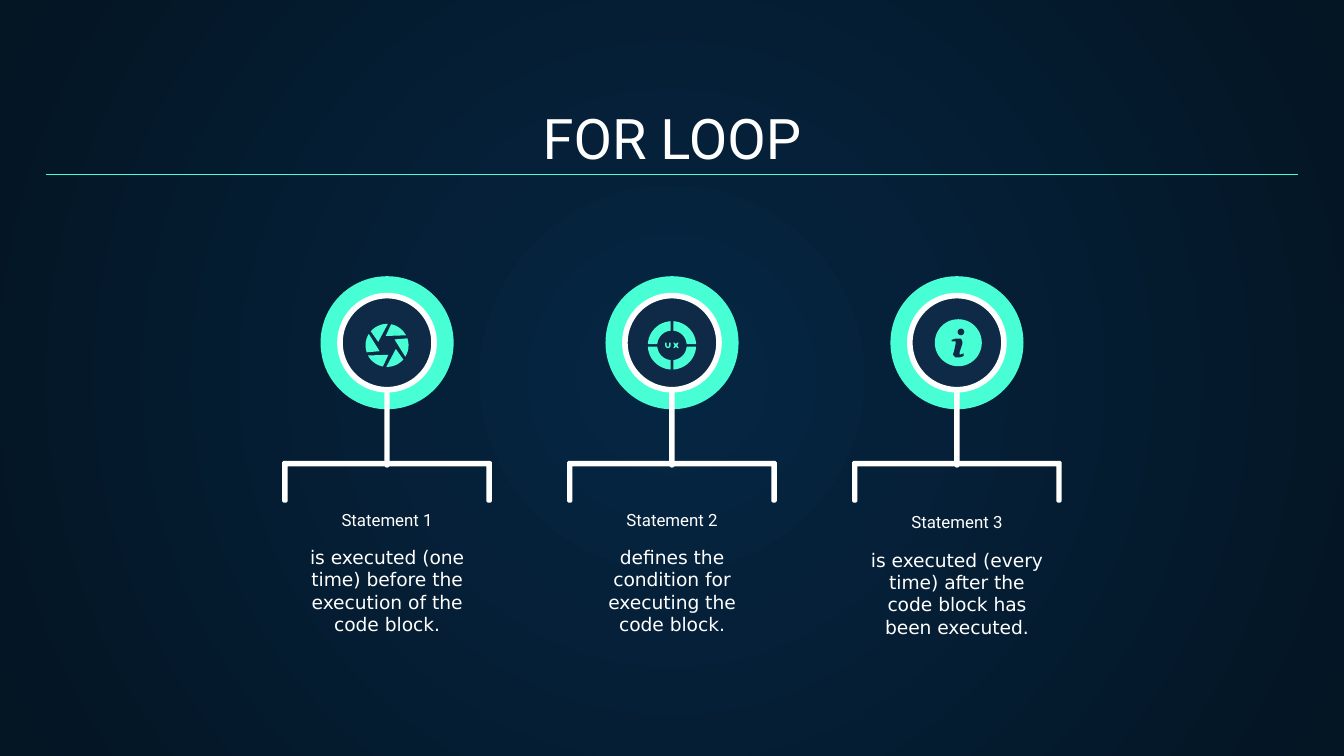
from dataclasses import dataclass
from math import asin, cos, pi, radians, sin
from typing import Callable

from lxml.etree import SubElement
from pptx import Presentation
from pptx.dml.color import RGBColor
from pptx.enum.shapes import MSO_CONNECTOR as Connector, MSO_SHAPE as Shape
from pptx.enum.text import MSO_ANCHOR as Anchor, MSO_AUTO_SIZE as AutoSize, PP_ALIGN as Align
from pptx.oxml.ns import qn
from pptx.util import Inches, Pt

Point = tuple[float, float]


@dataclass(frozen=True)
class Theme:
    white: str = "FFFFFF"
    accent: str = "48FFD5"
    navy: str = "0E2A47"
    glow: str = "052643"
    edge: str = "041523"
    heading_font: str = "Roboto"
    body_font: str = "DejaVu Sans"
    title_size: float = 30
    label_size: float = 9
    body_size: float = 10


THEME = Theme()
WIDTH = 10
HEIGHT = WIDTH * 9 / 16
MARGIN = 0.34
CENTER = WIDTH / 2
PITCH = 2.12  # distance between columns
BADGE_Y = 2.55
ICON_Y = BADGE_Y + 0.02
BRACKET_TOP = 3.43
LABEL_TOP = 3.83
RULE_Y = 1.3


@dataclass(frozen=True)
class Statement:
    label: str
    body: str
    icon: Callable
    text_drop: float = 0


# Text
def style_text(shape, text: str, font: str, size: float, anchor) -> None:
    frame = shape.text_frame
    frame.text = text
    frame.word_wrap = True
    frame.auto_size = AutoSize.NONE
    frame.vertical_anchor = anchor
    frame.margin_left = frame.margin_right = Inches(0.1)
    frame.margin_top = frame.margin_bottom = Inches(0.1)
    paragraph = frame.paragraphs[0]
    paragraph.alignment = Align.CENTER
    run_font = paragraph.runs[0].font
    run_font.name, run_font.size = font, Pt(size)
    run_font.color.rgb = RGBColor.from_string(THEME.white)


def add_text(shapes, x: float, top: float, width: float, height: float,
             text: str, font: str, size: float, anchor) -> None:
    box = shapes.add_textbox(Inches(x - width / 2), Inches(top), Inches(width), Inches(height))
    style_text(box, text, font, size, anchor)


# Shapes
def paint(shape, color: str) -> None:
    shape.shadow.inherit = False
    shape.fill.solid()
    shape.fill.fore_color.rgb = RGBColor.from_string(color)
    shape.line.fill.background()


def add_preset(shapes, kind, x: float, y: float, width: float, height: float, color: str):
    """Draw a preset shape around the centre x, y."""
    shape = shapes.add_shape(kind, Inches(x - width / 2), Inches(y - height / 2),
                             Inches(width), Inches(height))
    paint(shape, color)
    return shape


def add_outline(shapes, x: float, y: float, points: list[Point], color: str) -> None:
    """Draw a closed outline from offsets to x, y."""
    corners = [(Inches(x + dx), Inches(y + dy)) for dx, dy in points]
    builder = shapes.build_freeform(*corners[0])
    builder.add_line_segments(corners[1:], close=True)
    paint(builder.convert_to_shape(), color)


def arc(radius: float, start: float, end: float, steps: int = 12) -> list[Point]:
    angles = [start + (end - start) * step / steps for step in range(steps + 1)]
    return [(radius * cos(angle), radius * sin(angle)) for angle in angles]


def rotate(points: list[Point], angle: float) -> list[Point]:
    return [(x * cos(angle) - y * sin(angle), x * sin(angle) + y * cos(angle)) for x, y in points]


# Icons
def draw_aperture(shapes, x: float) -> None:
    group = shapes.add_group_shape().shapes
    blade = [(-0.01, -0.07)] + arc(0.16, radians(-28), radians(-79))
    for turn in range(6):
        add_outline(group, x, ICON_Y, rotate(blade, turn * pi / 3), THEME.accent)


def draw_ux_ring(shapes, x: float) -> None:
    group = shapes.add_group_shape().shapes
    outer, inner, half_gap = 0.18, 0.11, 0.01
    outer_gap, inner_gap = asin(half_gap / outer), asin(half_gap / inner)
    quadrant = (arc(outer, outer_gap, pi / 2 - outer_gap)
                + arc(inner, pi / 2 - inner_gap, inner_gap))
    for turn in range(4):
        add_outline(group, x, ICON_Y, rotate(quadrant, turn * pi / 2), THEME.accent)
    letter_u = ([(-0.02, -0.02), (-0.01, -0.02)] + arc(0.01, pi, 0)
                + [(0.01, -0.02), (0.02, -0.02)] + arc(0.02, 0, pi))
    x_arm = [(-0.01, 0), (-0.02, -0.02), (-0.01, -0.02), (0, -0.01), (0.01, -0.02), (0.02, -0.02)]
    letter_x = x_arm + [(-dx, -dy) for dx, dy in x_arm]
    add_outline(group, x - 0.03, ICON_Y, letter_u, THEME.accent)
    add_outline(group, x + 0.03, ICON_Y, letter_x, THEME.accent)


def draw_info(shapes, x: float) -> None:
    center = x + 0.01
    add_preset(shapes, Shape.OVAL, center, BADGE_Y, 0.35, 0.35, THEME.accent)
    add_preset(shapes, Shape.OVAL, center + 0.02, BADGE_Y - 0.08, 0.05, 0.05, THEME.navy)
    stem = [(-0.05, -0.02), (-0.02, -0.03), (0.02, -0.03), (0.03, -0.01), (0.03, 0.01),
            (0.01, 0.07), (0.01, 0.09), (0.04, 0.08), (0.04, 0.1), (0.01, 0.11),
            (-0.02, 0.11), (-0.04, 0.09), (-0.03, 0.06), (-0.02, 0.01), (-0.02, -0.01),
            (-0.05, -0.01)]
    add_outline(shapes, center, BADGE_Y, stem, THEME.navy)


# One column: bracket, badge, stem and texts
def draw_column(shapes, x: float, statement: Statement) -> None:
    half, bar, leg, cut = 0.78, 0.04, 0.31, 0.01
    right = [(half - cut, 0), (half, cut), (half, leg - cut), (half - cut, leg),
             (half - bar + cut, leg), (half - bar, leg - cut), (half - bar, bar)]
    left = [(-dx, dy) for dx, dy in reversed(right)]
    add_outline(shapes, x, BRACKET_TOP, right + left, THEME.white)

    add_preset(shapes, Shape.OVAL, x, BADGE_Y, 0.99, 0.99, THEME.accent)
    stem = add_preset(shapes, Shape.ROUNDED_RECTANGLE, x, 2.98, 0.04, 1, THEME.white)
    stem.adjustments[0] = 0.5
    ring = add_preset(shapes, Shape.OVAL, x, BADGE_Y, 0.7, 0.7, THEME.navy)
    ring.line.color.rgb = RGBColor.from_string(THEME.white)
    ring.line.width = Pt(3)
    statement.icon(shapes, x)

    top = LABEL_TOP + statement.text_drop
    add_text(shapes, x, top, 2.27, 0.21, statement.label,
             THEME.heading_font, THEME.label_size, Anchor.BOTTOM)
    add_text(shapes, x, top + 0.13, 1.52, 0.55, statement.body,
             THEME.body_font, THEME.body_size, Anchor.TOP)


def set_background(slide) -> None:
    fill = slide.background.fill
    fill.gradient()
    for stop, position, color in zip(fill.gradient_stops, (0, 1), (THEME.glow, THEME.edge)):
        stop.position = position
        stop.color.rgb = RGBColor.from_string(color)
    gradient = slide.element.find(".//" + qn("a:gradFill"))
    gradient.remove(gradient.find(qn("a:lin")))
    circle = SubElement(gradient, qn("a:path"), path="circle")
    SubElement(circle, qn("a:fillToRect"), l="50000", t="50000", r="50000", b="50000")


STATEMENTS = [
    Statement("Statement 1", "is executed (one time) before the execution of the code block.",
              draw_aperture),
    Statement("Statement 2", "defines the condition for executing the code block.", draw_ux_ring),
    Statement("Statement 3", "is executed (every time) after the code block has been executed.",
              draw_info, text_drop=0.02),
]


def main() -> None:
    presentation = Presentation()
    presentation.slide_width, presentation.slide_height = Inches(WIDTH), Inches(HEIGHT)
    slide = presentation.slides.add_slide(presentation.slide_layouts[5])
    set_background(slide)

    # Title and rule
    title = slide.shapes.title
    title.left, title.top = Inches(MARGIN), Inches(0.71)
    title.width, title.height = Inches(WIDTH - 2 * MARGIN), Inches(0.66)
    style_text(title, "FOR LOOP", THEME.heading_font, THEME.title_size, Anchor.BOTTOM)
    rule = slide.shapes.add_connector(Connector.STRAIGHT, Inches(MARGIN), Inches(RULE_Y),
                                      Inches(WIDTH - MARGIN), Inches(RULE_Y))
    rule.line.color.rgb = RGBColor.from_string(THEME.accent)
    rule.line.width = Pt(0.75)
    SubElement(rule.element.spPr, qn("a:effectLst"))

    for column, statement in enumerate(STATEMENTS):
        draw_column(slide.shapes, CENTER + (column - 1) * PITCH, statement)
    presentation.save("out.pptx")


if __name__ == "__main__":
    main()
